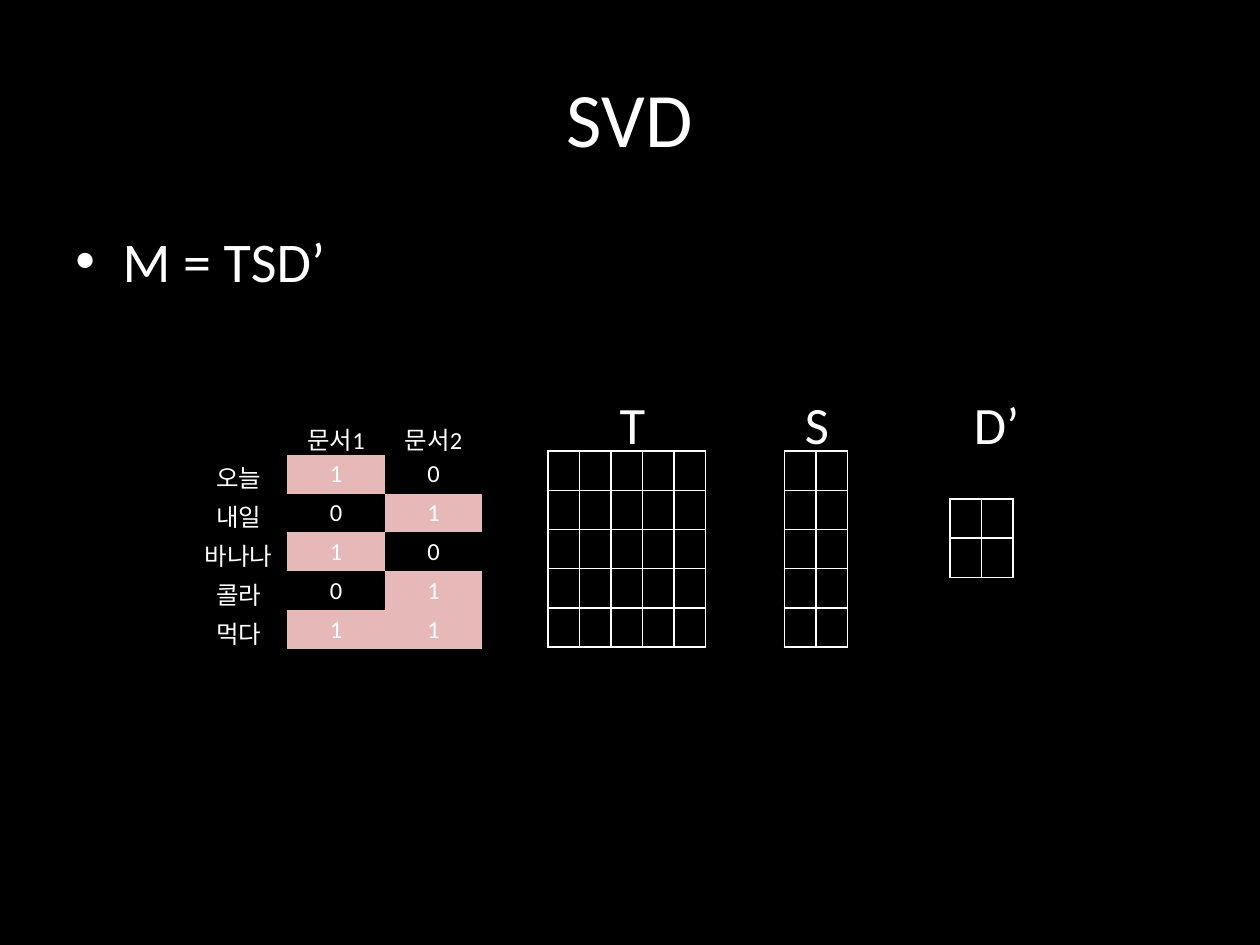
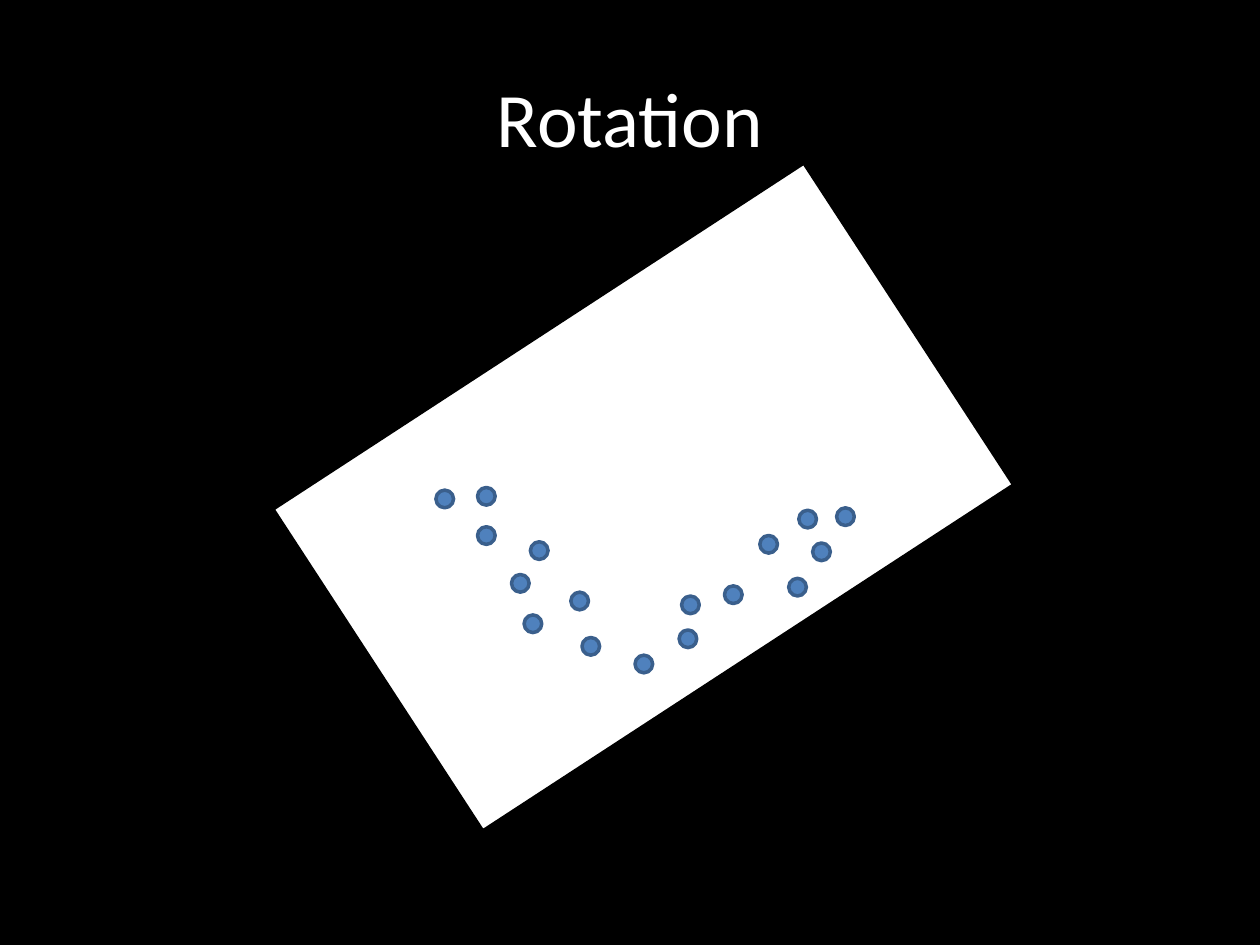
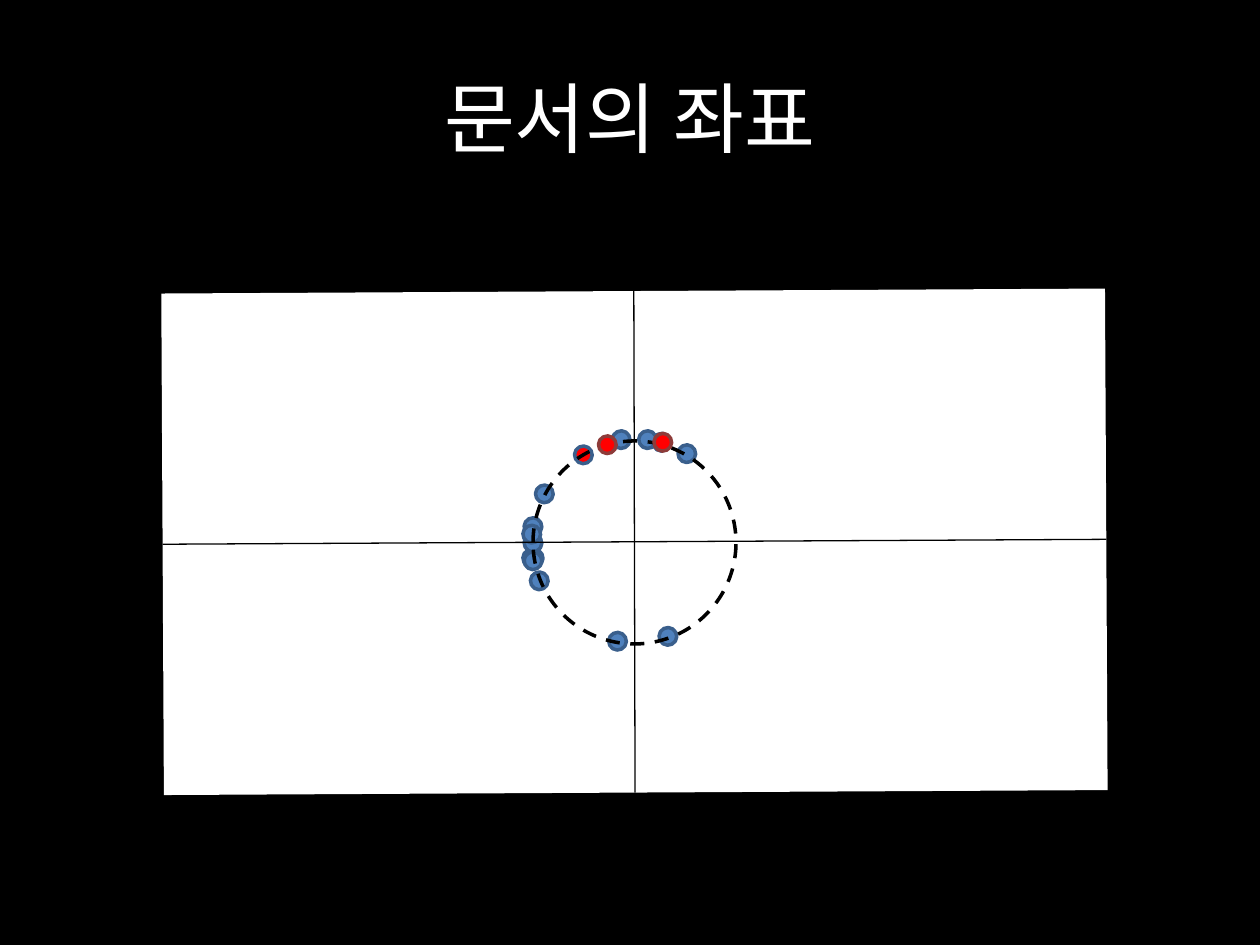
from lxml.etree import SubElement
from pptx import Presentation
from pptx.dml.color import RGBColor
from pptx.enum.dml import MSO_LINE
from pptx.enum.shapes import MSO_CONNECTOR, MSO_SHAPE
from pptx.enum.text import MSO_ANCHOR, MSO_AUTO_SIZE, PP_ALIGN
from pptx.oxml.ns import qn
from pptx.util import Pt

BLACK = RGBColor(0x00, 0x00, 0x00)
WHITE = RGBColor(0xFF, 0xFF, 0xFF)
PINK = RGBColor(0xE6, 0xB9, 0xB8)
BLUE = RGBColor(0x4F, 0x81, 0xBD)
NAVY = RGBColor(0x3A, 0x5F, 0x8C)
RED = RGBColor(0xFF, 0x00, 0x00)
MAROON = RGBColor(0x8E, 0x3B, 0x39)
FONT = "Calibri"
PLAIN = "{2D5ABB26-0587-4C30-8999-92F81FD0307C}"
DOT = 10.1

COUNTS = [
    ["", "문서1", "문서2"],
    ["오늘", "1", "0"],
    ["내일", "0", "1"],
    ["바나나", "1", "0"],
    ["콜라", "0", "1"],
    ["먹다", "1", "1"],
]
GRIDS = [
    (313.2, 257.8, 5, 5),
    (542.9, 285.1, 2, 2),
    (448.2, 257.8, 5, 2),
]
LABELS = [("T", 347, 29.5), ("S", 452.9, 28.1), ("D’", 549.4, 41)]

CURVE = [
    (249.1, 280.1), (272.9, 278.6), (388.1, 360), (414, 334.8),
    (389.5, 340.6), (326.2, 338.4), (332.6, 364.3), (362.9, 374.4),
    (299.5, 351.4), (272.9, 301), (292.3, 328.3), (303.1, 309.6),
    (434.2, 306), (450.7, 330.5), (464.4, 310.3), (456.5, 291.6),
    (478.1, 290.2),
]
DOCS = [
    (306, 277.2, BLUE), (298.8, 313.9, BLUE), (373, 247.7, BLUE),
    (376.6, 358.6, BLUE), (300.2, 313.9, BLUE), (328.3, 254.9, RED),
    (349.9, 246.2, BLUE), (303.1, 326.9, BLUE), (299.5, 315.4, BLUE),
    (387.4, 254.2, BLUE), (365, 246.2, BLUE), (299.5, 305.3, BLUE),
    (299.5, 295.9, BLUE), (347.8, 361.4, BLUE), (298.8, 300.2, BLUE),
]
AXES = [(362.2, 166.3, 362.9, 452.9), (92.9, 311, 632.2, 308.2)]
MARKS = [(342, 249.1), (373.7, 247.7)]


def write(para, text, size):
    run = para.add_run()
    run.text = text
    run.font.name = FONT
    run.font.size = Pt(size)
    run.font.color.rgb = WHITE


def add_text(slide, box, text, size, wrap=True):
    frame = slide.shapes.add_textbox(*map(Pt, box)).text_frame
    frame.word_wrap = wrap
    para = frame.paragraphs[0]
    write(para, text, size)
    return frame, para


def new_slide(deck, title):
    slide = deck.slides.add_slide(deck.slide_layouts[6])
    slide.background.fill.solid()
    slide.background.fill.fore_color.rgb = BLACK
    frame, para = add_text(slide, (36, 21.6, 648, 90), title, 44)
    frame.vertical_anchor = MSO_ANCHOR.MIDDLE
    para.alignment = PP_ALIGN.CENTER
    return slide


def add_form(slide, kind, box, fill=None, line=None, width=2, spin=0):
    form = slide.shapes.add_shape(kind, *map(Pt, box))
    form.shadow.inherit = False
    form.rotation = spin
    for part, color in ((form.fill, fill), (form.line.fill, line)):
        if color is None:
            part.background()
        else:
            part.solid()
            part.fore_color.rgb = color
    if line is not None:
        form.line.width = Pt(width)
    return form


def add_dot(slide, left, top, fill=BLUE, line=NAVY, spin=0):
    add_form(slide, MSO_SHAPE.OVAL, (left, top, DOT, DOT), fill, line, spin=spin)


def add_axis(slide, ends):
    axis = slide.shapes.add_connector(MSO_CONNECTOR.STRAIGHT, *map(Pt, ends))
    axis.line.color.rgb = BLACK
    axis.line.width = Pt(0.75)
    SubElement(axis._element.spPr, qn("a:effectLst"))


def add_edges(cell):
    props = cell._tc.get_or_add_tcPr()
    for side in ("lnL", "lnR", "lnT", "lnB"):
        edge = SubElement(props, qn("a:" + side), w=str(Pt(1)))
        fill = SubElement(edge, qn("a:solidFill"))
        SubElement(fill, qn("a:srgbClr"), val=str(WHITE))


def add_grid(slide, left, top, rows, wide, high, size, edges=False):
    count, cols = len(rows), len(rows[0])
    box = (left, top, wide * cols, high * count)
    table = slide.shapes.add_table(count, cols, *map(Pt, box)).table
    table.first_row = table.horz_banding = False
    table._tbl.tblPr.find(qn("a:tableStyleId")).text = PLAIN
    for col in table.columns:
        col.width = Pt(wide)
    for row, texts in zip(table.rows, rows):
        row.height = Pt(high)
        for cell, text in zip(row.cells, texts):
            cell.margin_left = cell.margin_right = Pt(5)
            cell.margin_top = cell.margin_bottom = Pt(2.7)
            if edges:
                add_edges(cell)
            if text == "1":
                cell.fill.solid()
                cell.fill.fore_color.rgb = PINK
            else:
                cell.fill.background()
            para = cell.text_frame.paragraphs[0]
            para.alignment = PP_ALIGN.CENTER
            if text:
                write(para, text, size)
            else:
                SubElement(para._p, qn("a:endParaRPr"), sz=str(size * 100))


def draw_svd(deck):
    slide = new_slide(deck, "SVD")
    frame, para = add_text(slide, (36, 126, 648, 356.4), "M = TSD’", 32)
    props = para._p.get_or_add_pPr()
    props.set("marL", str(Pt(27)))
    props.set("indent", str(Pt(-27)))
    SubElement(props, qn("a:buFont"), typeface="Arial")
    SubElement(props, qn("a:buChar"), char="•")
    add_grid(slide, 108.5, 237.6, COUNTS, 55.7, 22.2, 14)
    for left, top, rows, cols in GRIDS:
        add_grid(slide, left, top, [[""] * cols] * rows, 18, 22.4, 12, True)
    for text, left, wide in LABELS:
        box = (left, 220.3, wide, 43.9)
        frame, para = add_text(slide, box, text, 30, False)
        frame.auto_size = MSO_AUTO_SIZE.SHAPE_TO_FIT_TEXT


def draw_turn(deck):
    slide = new_slide(deck, "Rotation")
    box = (186.5, 174.2, 362.2, 219.6)
    add_form(slide, MSO_SHAPE.RECTANGLE, box, WHITE, BLACK, spin=326.9)
    for left, top in CURVE:
        add_dot(slide, left, top)


def draw_docs(deck):
    slide = new_slide(deck, "문서의 좌표")
    box = (92.9, 166.3, 539.3, 286.6)
    add_form(slide, MSO_SHAPE.RECTANGLE, box, WHITE, spin=359.7)
    for left, top, fill in DOCS:
        add_dot(slide, left, top, fill, spin=32.8)
    for ends in AXES:
        add_axis(slide, ends)
    ring = add_form(slide, MSO_SHAPE.OVAL, (304.6, 252, 116, 116), line=BLACK)
    ring.line.dash_style = MSO_LINE.DASH
    for left, top in MARKS:
        add_dot(slide, left, top, RED, MAROON, 32.8)


def main():
    deck = Presentation()
    deck.slide_width, deck.slide_height = Pt(720), Pt(540)
    for draw in (draw_svd, draw_turn, draw_docs):
        draw(deck)
    deck.save("out.pptx")


if __name__ == "__main__":
    main()
